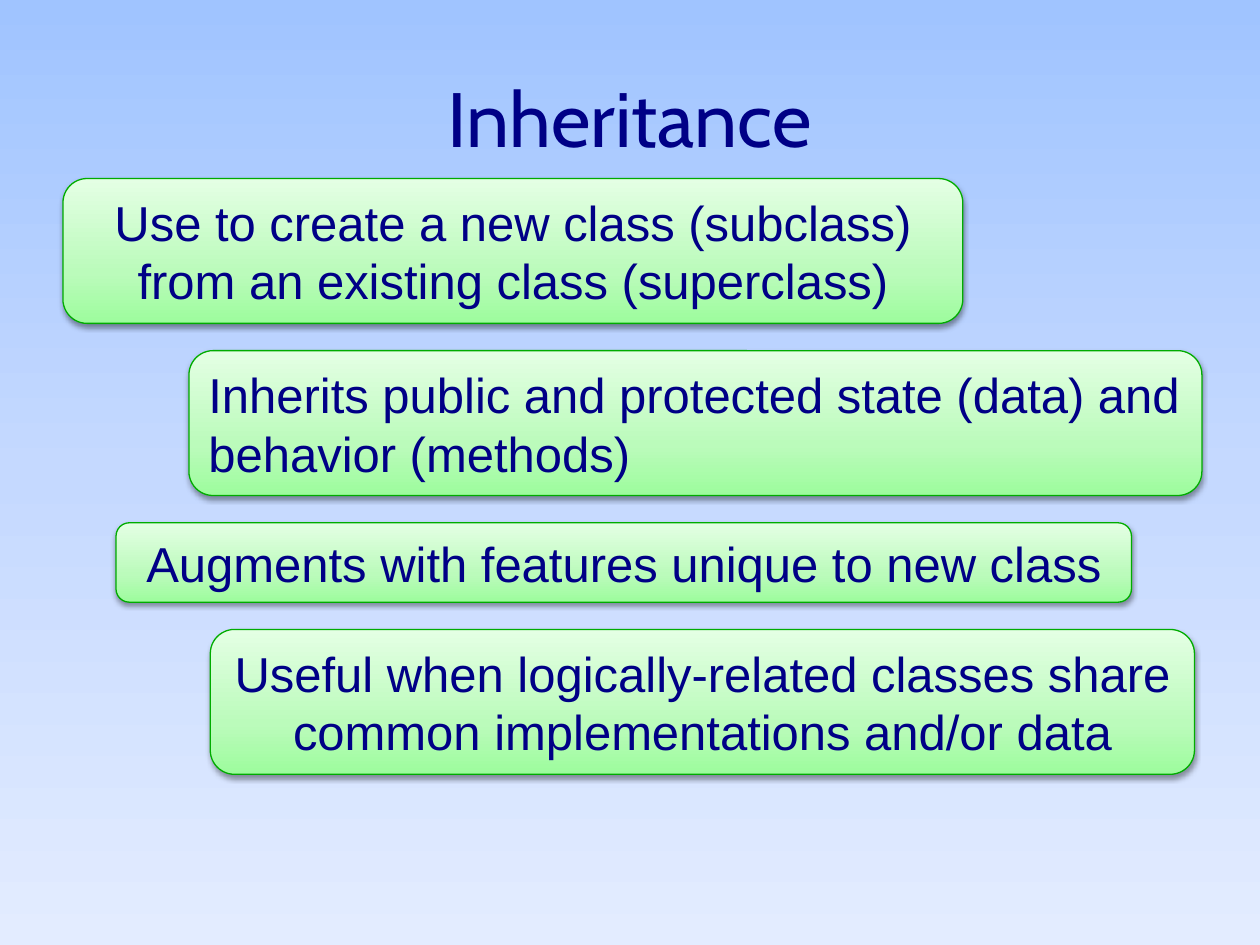
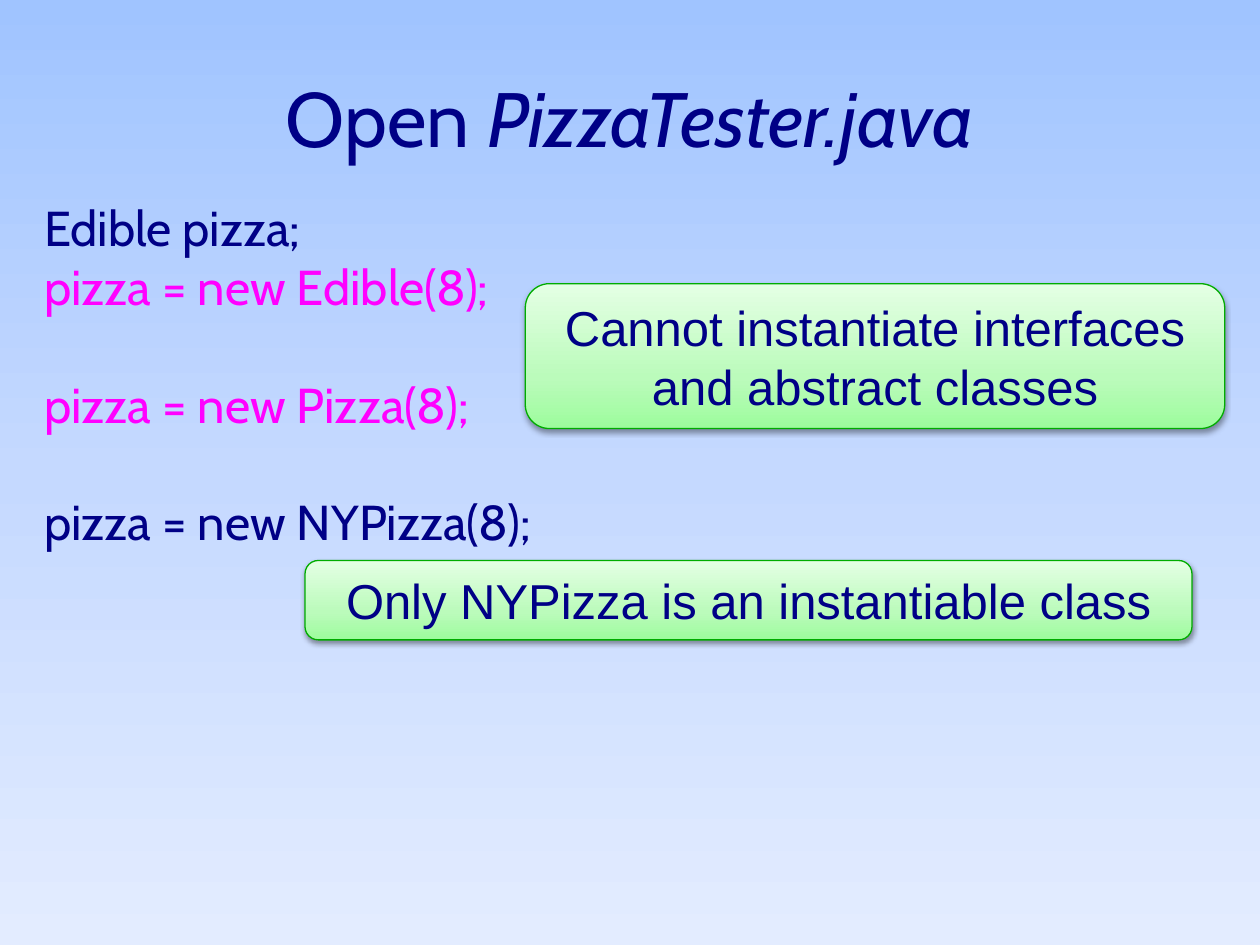
from dataclasses import dataclass

from lxml.etree import SubElement
from pptx import Presentation
from pptx.dml.color import RGBColor
from pptx.enum.shapes import MSO_SHAPE as Preset
from pptx.enum.text import MSO_ANCHOR as Anchor, MSO_AUTO_SIZE as AutoSize, PP_ALIGN as Align
from pptx.oxml.ns import qn
from pptx.util import Cm, Pt


@dataclass(frozen=True)
class Theme:
    ink: str = "000086"
    error: str = "FF00FF"
    outline: str = "00AC00"
    shadow: str = "000000"
    sky: tuple = ((0, "A0C4FF"), (50, "C5D9FF"), (100, "E3ECFF"))
    green: tuple = ((0, "9DFC9D"), (35, "BBFBBB"), (100, "E4FFE4"))
    heading_font: str = "Cabin"
    callout_font: str = "Arial"
    title_size: int = 44
    body_size: int = 28
    line_height: float = 33.6


THEME = Theme()
CALLOUT_HEIGHTS = {1: 1.6, 2: 2.92}  # centimetres, by number of text lines
STACK_TOP, STACK_GAP = 3.6, 0.55


@dataclass(frozen=True)
class Callout:
    text: str
    left: float
    width: float
    lines: int = 2
    align: Align = Align.CENTER

    @property
    def height(self) -> float:
        return CALLOUT_HEIGHTS[self.lines]


@dataclass(frozen=True)
class CodeLine:
    text: str
    colour: str = THEME.ink
    skipped_lines: int = 0


INHERITANCE_CALLOUTS = (
    Callout("Use to create a new class (subclass) from an existing class (superclass)",
            1.27, 18.14),
    Callout("Inherits public and protected state (data) and behavior (methods)",
            3.81, 20.42, align=Align.LEFT),
    Callout("Augments with features unique to new class", 2.34, 20.47, lines=1),
    Callout("Useful when logically-related classes share common implementations and/or data",
            4.24, 19.84),
)
PIZZA_CODE = (
    CodeLine("Edible pizza;"),
    CodeLine("pizza = new Edible(8);", THEME.error),
    CodeLine("pizza = new Pizza(8);", THEME.error, skipped_lines=1),
    CodeLine("pizza = new NYPizza(8);", skipped_lines=1),
)


def write(paragraph, text: str, *, size: float = THEME.body_size,
          font: str = THEME.heading_font, colour: str = THEME.ink,
          italic: bool = False, align: Align = Align.LEFT) -> None:
    """Append one formatted run to a paragraph."""
    paragraph.alignment = align
    run = paragraph.add_run()
    run.text = text
    run.font.size = Pt(size)
    run.font.name = font
    run.font.italic = italic
    run.font.color.rgb = RGBColor.from_string(colour)


def set_gradient(fill, element, stops: tuple, angle: int) -> None:
    """Give a fill any number of colour stops; the angle runs clockwise."""
    fill.gradient()
    gradient = element.find(".//" + qn("a:gradFill"))
    stop_list = gradient.find(qn("a:gsLst"))
    stop_list.clear()
    for position, colour in stops:
        stop = SubElement(stop_list, qn("a:gs"), pos=str(position * 1000))
        SubElement(stop, qn("a:srgbClr"), val=colour)
    gradient.find(qn("a:lin")).set("ang", str(angle * 60000))


def set_shadow(shape) -> None:
    shape.shadow.inherit = False
    effects = shape.element.spPr.find(qn("a:effectLst"))
    shadow = SubElement(effects, qn("a:outerShdw"), blurRad=str(Pt(3.1)),
                        dist=str(Pt(1.6)), dir=str(90 * 60000), rotWithShape="0")
    colour = SubElement(shadow, qn("a:srgbClr"), val=THEME.shadow)
    SubElement(colour, qn("a:alpha"), val="38000")


def add_text_frame(slide, left: float, top: float, width: float, height: float):
    frame = slide.shapes.add_textbox(Cm(left), Cm(top), Cm(width), Cm(height)).text_frame
    frame.word_wrap = True
    return frame


def add_title(slide, text: str, italic_text: str = "") -> None:
    frame = add_text_frame(slide, 1.27, 0.76, 22.86, 3.18)
    frame.vertical_anchor = Anchor.MIDDLE
    for part, italic in ((text, False), (italic_text, True)):
        if part:
            write(frame.paragraphs[0], part, size=THEME.title_size,
                  italic=italic, align=Align.CENTER)


def add_callout(slide, callout: Callout, top: float) -> None:
    shape = slide.shapes.add_shape(Preset.ROUNDED_RECTANGLE, Cm(callout.left), Cm(top),
                                   Cm(callout.width), Cm(callout.height))
    set_gradient(shape.fill, shape.element, THEME.green, 270)
    shape.line.color.rgb = RGBColor.from_string(THEME.outline)
    shape.line.width = Pt(0.75)
    set_shadow(shape)
    frame = shape.text_frame
    frame.word_wrap = True
    frame.auto_size = AutoSize.SHAPE_TO_FIT_TEXT
    frame.vertical_anchor = Anchor.MIDDLE
    write(frame.paragraphs[0], callout.text, font=THEME.callout_font, align=callout.align)


def add_code(slide, lines: tuple) -> None:
    frame = add_text_frame(slide, 0.64, 3.86, 24.74, 7.44)
    for index, line in enumerate(lines):
        paragraph = frame.add_paragraph() if index else frame.paragraphs[0]
        if line.skipped_lines:
            paragraph.space_before = Pt(line.skipped_lines * THEME.line_height)
        write(paragraph, line.text, colour=line.colour)


def build_inheritance(slide) -> None:
    add_title(slide, "Inheritance")
    top = STACK_TOP
    for callout in INHERITANCE_CALLOUTS:
        add_callout(slide, callout, top)
        top += callout.height + STACK_GAP


def build_pizza_tester(slide) -> None:
    add_code(slide, PIZZA_CODE)
    add_title(slide, "Open ", "PizzaTester.java")
    add_callout(slide, Callout("Cannot instantiate interfaces and abstract classes",
                               10.59, 14.1), 5.72)
    add_callout(slide, Callout("Only NYPizza is an instantiable class",
                               6.15, 17.88, lines=1), 11.3)


def main() -> None:
    presentation = Presentation()
    presentation.slide_width, presentation.slide_height = Cm(25.4), Cm(19.05)

    # Shared background
    master = presentation.slide_master
    set_gradient(master.background.fill, master.element, THEME.sky, 90)

    # Slides
    blank = presentation.slide_layouts[6]
    for build in (build_inheritance, build_pizza_tester):
        build(presentation.slides.add_slide(blank))
    presentation.save("out.pptx")


if __name__ == "__main__":
    main()
